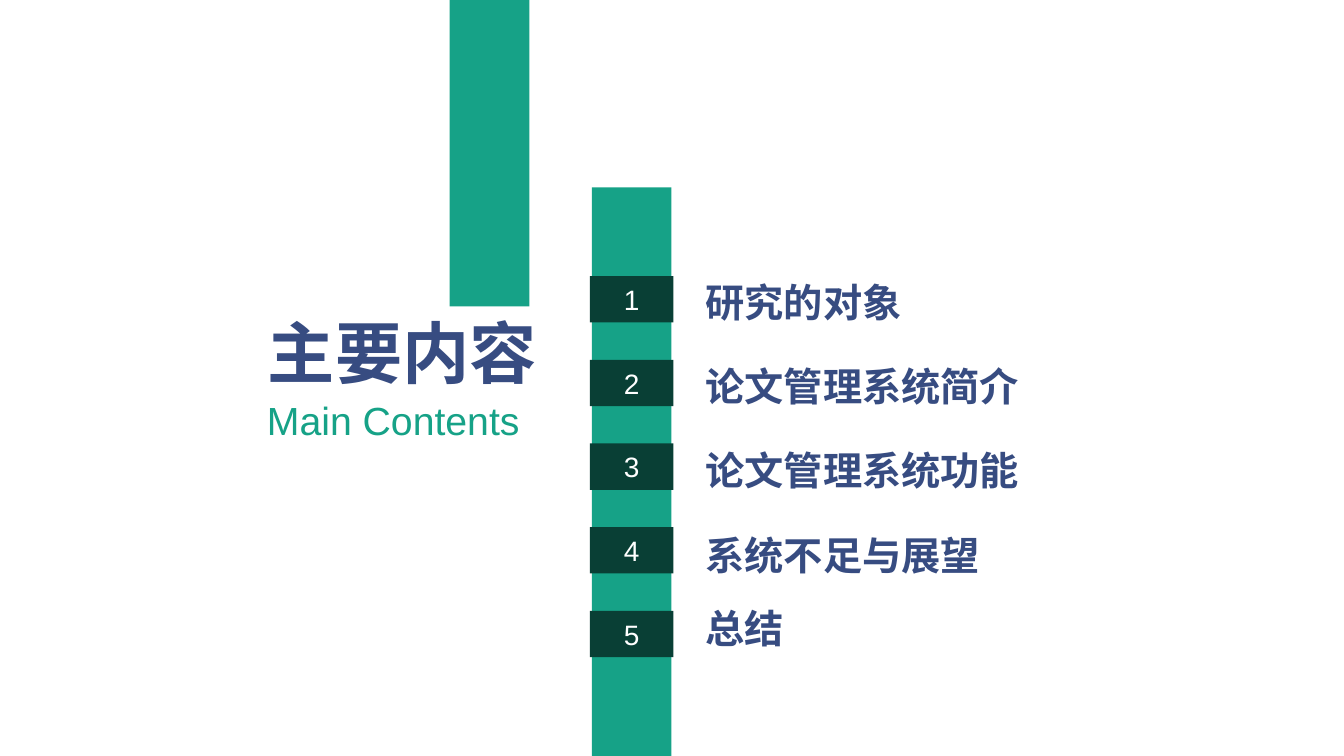
"""Build the contents slide: a title block and a numbered vertical list."""
from lxml import etree
from pptx import Presentation
from pptx.dml.color import RGBColor
from pptx.enum.shapes import MSO_SHAPE
from pptx.enum.text import MSO_ANCHOR, MSO_AUTO_SIZE, PP_ALIGN
from pptx.oxml.ns import qn
from pptx.util import Inches, Pt

RECTANGLE = MSO_SHAPE.RECTANGLE
TOP, MIDDLE = MSO_ANCHOR.TOP, MSO_ANCHOR.MIDDLE
LEFT, CENTER, RIGHT = PP_ALIGN.LEFT, PP_ALIGN.CENTER, PP_ALIGN.RIGHT
GROW = MSO_AUTO_SIZE.SHAPE_TO_FIT_TEXT

GREEN = RGBColor(0x16, 0xA2, 0x87)
DARK_GREEN = RGBColor(0x09, 0x3F, 0x35)
NAVY = RGBColor(0x37, 0x4C, 0x81)
WHITE = RGBColor(0xFF, 0xFF, 0xFF)
CHINESE_FONT = "Noto Sans CJK SC"

HEADING = {"name": CHINESE_FONT, "size": Pt(48), "bold": True}
SUBTITLE = {"name": "Arial", "size": Pt(28), "bold": False}
NUMBER = {"name": "Arial", "size": Pt(20), "bold": False}
TOPIC = {"name": CHINESE_FONT, "size": Pt(28), "bold": True}

FIRST_TOP, PITCH = 2.74, 0.83
TOPICS = [
    ("研究的对象", 2.71, 3.27),
    ("论文管理系统简介", 3.55, 3.7),
    ("论文管理系统功能", 4.38, 4.09),
    ("系统不足与展望", 5.22, 3.27),
    ("总结", 5.95, 3.27),
]


def write_text(shape, text, style, color, alignment, anchor=TOP):
    """Put one formatted line of text into a shape."""
    frame = shape.text_frame
    frame.word_wrap = True
    frame.vertical_anchor = anchor
    paragraph = frame.paragraphs[0]
    paragraph.alignment = alignment
    run = paragraph.add_run()
    run.text = text
    for attribute, value in style.items():
        setattr(run.font, attribute, value)
    run.font.color.rgb = color
    east_asian = etree.SubElement(run.font._element, qn("a:ea"))
    east_asian.set("typeface", style["name"])


def add_block(slide, box, color):
    """Add a plain filled rectangle."""
    shape = slide.shapes.add_shape(RECTANGLE, *map(Inches, box))
    shape.shadow.inherit = False
    shape.fill.solid()
    shape.fill.fore_color.rgb = color
    shape.line.fill.background()
    return shape


def add_label(slide, box, text, style, color, alignment):
    """Add a text box that grows with its text."""
    label = slide.shapes.add_textbox(*map(Inches, box))
    write_text(label, text, style, color, alignment)
    label.text_frame.auto_size = GROW


def add_heading(slide, box, text):
    """Place and format the title placeholder."""
    title = slide.shapes.title
    title.left, title.top, title.width, title.height = map(Inches, box)
    write_text(title, text, HEADING, NAVY, CENTER)
    title.text_frame.auto_size = GROW


def main():
    """Build and save the presentation."""
    presentation = Presentation()
    presentation.slide_width = Inches(13.33)
    presentation.slide_height = Inches(7.5)
    slide = presentation.slides.add_slide(presentation.slide_layouts[5])

    add_block(slide, (4.46, 0, 0.79, 3.04), GREEN)
    add_block(slide, (5.87, 1.86, 0.79, 5.64), GREEN)
    add_heading(slide, (2.44, 3.04, 3.1, 0.91), "主要内容")
    add_label(slide, (1.85, 3.88, 3.4, 0.57), "Main Contents", SUBTITLE, GREEN, RIGHT)

    for index, (topic, top, width) in enumerate(TOPICS):
        badge = add_block(slide, (5.85, FIRST_TOP + index * PITCH, 0.83, 0.46), DARK_GREEN)
        write_text(badge, str(index + 1), NUMBER, WHITE, CENTER, MIDDLE)
        add_label(slide, (6.9, top, width, 0.57), topic, TOPIC, NAVY, LEFT)

    presentation.save("out.pptx")


if __name__ == "__main__":
    main()
